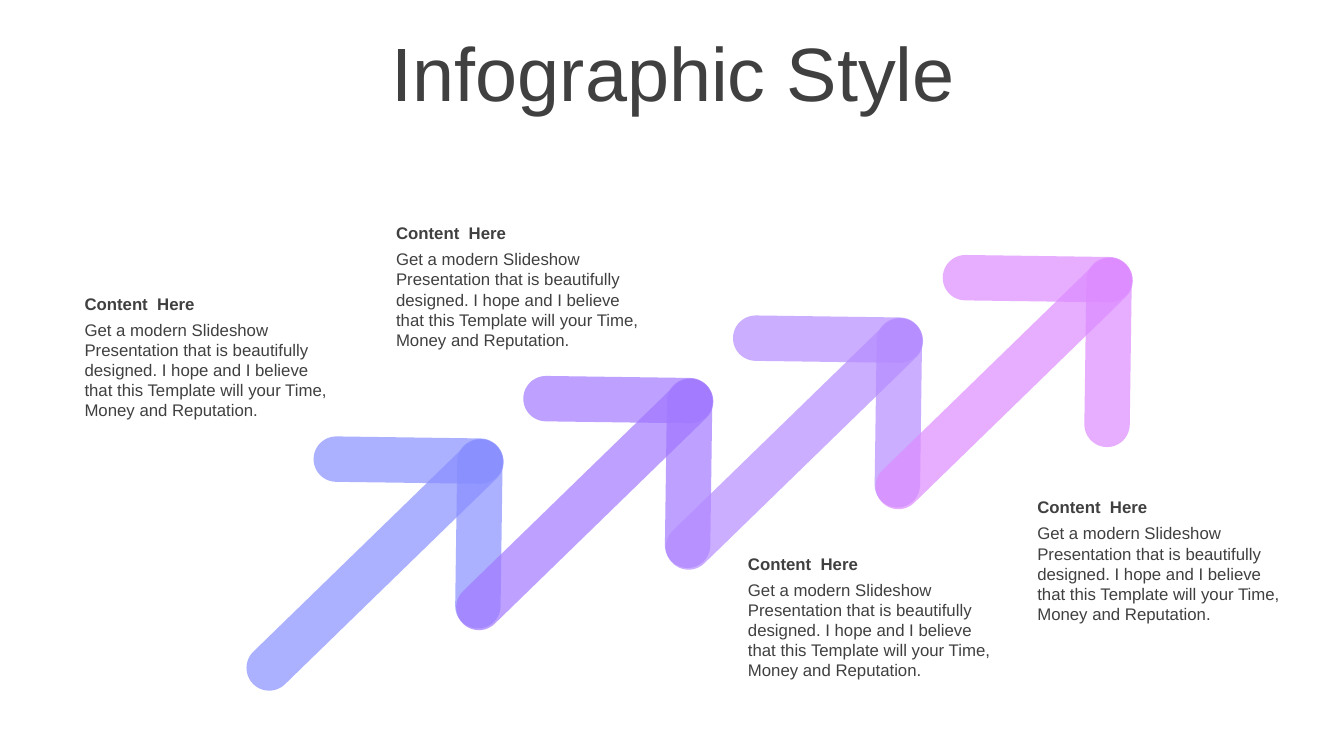
from lxml import etree
from pptx import Presentation
from pptx.dml.color import RGBColor
from pptx.enum.shapes import MSO_SHAPE
from pptx.enum.text import MSO_ANCHOR, MSO_AUTO_SIZE, PP_ALIGN
from pptx.oxml.ns import qn
from pptx.util import Inches, Pt

ROUNDED = MSO_SHAPE.ROUNDED_RECTANGLE
MIDDLE, TOP = MSO_ANCHOR.MIDDLE, MSO_ANCHOR.TOP
LEFT, CENTER = PP_ALIGN.LEFT, PP_ALIGN.CENTER
NO_AUTOFIT = MSO_AUTO_SIZE.NONE
TITLE_ONLY_LAYOUT = 5

DARK_GRAY = RGBColor(0x40, 0x40, 0x40)
BLUE = RGBColor(0x88, 0x8F, 0xFF)
VIOLET = RGBColor(0xA1, 0x78, 0xFF)
LAVENDER = RGBColor(0xB5, 0x8C, 0xFF)
PINK = RGBColor(0xDD, 0x8B, 0xFF)

HEADING = "Content  Here"
BODY = ("Get a modern Slideshow Presentation that is beautifully designed. "
        "I hope and I believe that this Template will your Time, "
        "Money and Reputation.")

# Bars of the first arrow: left, top, width, rotation
ARROW_BARS = [(3.11, 4.34, 1.88, 0.8),
              (3.81, 5.07, 1.88, 270.8),
              (2.03, 5.38, 3.38, 315.8)]
BAR_HEIGHT = 0.45
ARROW_STEP_X, ARROW_STEP_Y = 2.08, -0.6
ARROW_COLORS = [BLUE, VIOLET, LAVENDER, PINK]

# Left and top of each text block
BLOCK_POSITIONS = [(3.83, 2.16), (7.32, 5.44), (0.74, 2.86), (10.19, 4.88)]


class SlideBuilder:
    """Holds the text style and the current slide."""

    font_format = {"name": "Arial", "size": Pt(12), "bold": False}

    def __init__(self, slide):
        self.slide = slide

    def set_text(self, shape, text, anchor=TOP, align=LEFT, **font_changes):
        frame = shape.text_frame
        frame.text = text
        frame.word_wrap = True
        frame.auto_size = NO_AUTOFIT
        frame.vertical_anchor = anchor
        paragraph = frame.paragraphs[0]
        paragraph.alignment = align
        for name, value in {**self.font_format, **font_changes}.items():
            setattr(paragraph.font, name, value)
        paragraph.font.color.rgb = DARK_GRAY
        return paragraph

    def title(self, text):
        shape = self.slide.shapes.title
        box = {"left": 0.35, "top": 0.37, "width": 12.66, "height": 0.79}
        for name, value in box.items():
            setattr(shape, name, Inches(value))
        paragraph = self.set_text(shape, text, MIDDLE, CENTER, size=Pt(54))
        paragraph.line_spacing = 0.9

    def arrow(self, group, x_shift, y_shift, color):
        for left, top, width, rotation in ARROW_BARS:
            bar = group.shapes.add_shape(
                ROUNDED, Inches(left + x_shift), Inches(top + y_shift),
                Inches(width), Inches(BAR_HEIGHT))
            bar.adjustments[0] = 0.5
            bar.rotation = rotation
            bar.shadow.inherit = False
            bar.line.fill.background()
            bar.fill.solid()
            bar.fill.fore_color.rgb = color
            # 70 % opacity
            color_element = bar.element.spPr.find(".//" + qn("a:srgbClr"))
            etree.SubElement(color_element, qn("a:alpha"), val="70000")

    def text_block(self, left, top):
        group = self.slide.shapes.add_group_shape()
        heading = group.shapes.add_textbox(
            Inches(left), Inches(top), Inches(2.74), Inches(0.3))
        self.set_text(heading, HEADING, MIDDLE, bold=True)
        body = group.shapes.add_textbox(
            Inches(left), Inches(top + 0.26), Inches(2.74), Inches(1.11))
        self.set_text(body, BODY)


def main():
    presentation = Presentation()
    presentation.slide_width = Inches(13.33)
    presentation.slide_height = Inches(7.5)
    layout = presentation.slide_layouts[TITLE_ONLY_LAYOUT]
    builder = SlideBuilder(presentation.slides.add_slide(layout))

    builder.title("Infographic Style")

    # Rising chain of arrows
    arrows = builder.slide.shapes.add_group_shape()
    for index, color in enumerate(ARROW_COLORS):
        builder.arrow(arrows, index * ARROW_STEP_X, index * ARROW_STEP_Y, color)

    # Text blocks
    for left, top in BLOCK_POSITIONS:
        builder.text_block(left, top)

    presentation.save("out.pptx")


if __name__ == "__main__":
    main()
